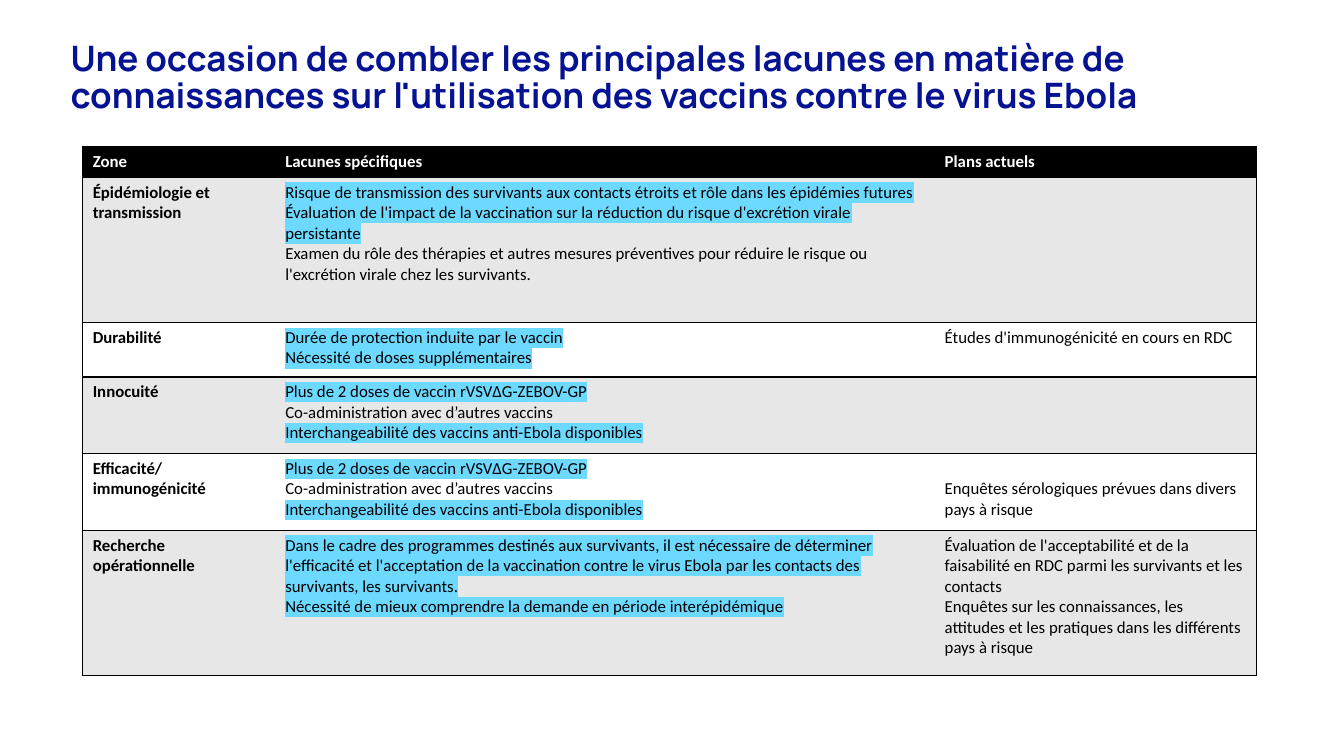
from lxml import etree
from pptx import Presentation
from pptx.dml.color import RGBColor
from pptx.enum.text import MSO_ANCHOR, MSO_AUTO_SIZE, PP_ALIGN
from pptx.oxml.ns import qn
from pptx.util import Inches, Pt

MIDDLE, LEFT, NO_FIT = MSO_ANCHOR.MIDDLE, PP_ALIGN.LEFT, MSO_AUTO_SIZE.NONE

NAVY, BLACK, WHITE, GREY, SKY = "051291", "000000", "FFFFFF", "E7E7E7", "6DD9FF"

TITLE = ("Une occasion de combler les principales lacunes en matière de connaissances "
         "sur l'utilisation des vaccins contre le virus Ebola")
HEADERS = ["Zone", "Lacunes spécifiques", "Plans actuels"]
DOSE_GAPS = [
    ("Plus de 2 doses de vaccin rVSVΔG-ZEBOV-GP", True),
    ("Co-administration avec d’autres vaccins", False),
    ("Interchangeabilité des vaccins anti-Ebola disponibles", True),
]
# Area, gaps as (text, highlighted), current plans
AREAS = [
    ("Épidémiologie et transmission", [
        ("Risque de transmission des survivants aux contacts étroits et rôle dans "
         "les épidémies futures", True),
        ("Évaluation de l'impact de la vaccination sur la réduction du risque "
         "d'excrétion virale persistante", True),
        ("Examen du rôle des thérapies et autres mesures préventives pour réduire "
         "le risque ou l'excrétion virale chez les survivants.", False),
    ], []),
    ("Durabilité", [
        ("Durée de protection induite par le vaccin", True),
        ("Nécessité de doses supplémentaires", True),
    ], ["Études d'immunogénicité en cours en RDC"]),
    ("Innocuité", DOSE_GAPS, []),
    ("Efficacité/immunogénicité", DOSE_GAPS,
     ["Enquêtes sérologiques prévues dans divers pays à risque"]),
    ("Recherche opérationnelle", [
        ("Dans le cadre des programmes destinés aux survivants, il est nécessaire de "
         "déterminer l'efficacité et l'acceptation de la vaccination contre le virus "
         "Ebola par les contacts des survivants, les survivants.", True),
        ("Nécessité de mieux comprendre la demande en période interépidémique", True),
    ], [
        "Évaluation de l'acceptabilité et de la faisabilité en RDC parmi les "
        "survivants et les contacts",
        "Enquêtes sur les connaissances, les attitudes et les pratiques dans les "
        "différents pays à risque",
    ]),
]
COLUMN_WIDTHS = [1.91, 6.54, 3.19]
ROW_HEIGHTS = [0.31, 1.44, 0.54, 0.76, 0.76, 1.44]
LOWERED_PLAN = (4, 2)  # this cell's text starts one line down


def rgb(color):
    return RGBColor.from_string(color)


def write(paragraph, text, size=12, font="Calibri", color=BLACK, bold=False, highlight=None):
    run = paragraph.add_run()
    run.text = text
    run.font.size, run.font.name, run.font.bold = Pt(size), font, bold
    run.font.color.rgb = rgb(color)
    if highlight:
        marker = etree.Element(qn("a:highlight"))
        etree.SubElement(marker, qn("a:srgbClr"), val=highlight)
        run.font._element.find(qn("a:solidFill")).addnext(marker)


def set_borders(cell, sides):
    """Draw a black line on the given sides and none on the others."""
    properties = cell._tc.get_or_add_tcPr()
    for position, side in enumerate("LRTB"):
        line = etree.Element(qn(f"a:ln{side}"), w=str(Pt(1)))
        if side in sides:
            fill = etree.SubElement(line, qn("a:solidFill"))
            etree.SubElement(fill, qn("a:srgbClr"), val=BLACK)
        else:
            etree.SubElement(line, qn("a:noFill"))
        properties.insert(position, line)


def fill_cell(cell, entries, background, **text_format):
    cell.fill.solid()
    cell.fill.fore_color.rgb = rgb(background)
    frame = cell.text_frame
    for index, (text, highlighted) in enumerate(entries):
        paragraph = frame.add_paragraph() if index else frame.paragraphs[0]
        write(paragraph, text, highlight=SKY if highlighted else None, **text_format)


def add_title(slide):
    title = slide.shapes.title
    title.left, title.top = Inches(0.6), Inches(0.4)
    title.width, title.height = Inches(12.07), Inches(0.76)
    frame = title.text_frame
    frame.word_wrap, frame.auto_size, frame.vertical_anchor = True, NO_FIT, MIDDLE
    paragraph = frame.paragraphs[0]
    paragraph.alignment, paragraph.line_spacing = LEFT, 0.9
    write(paragraph, TITLE, size=25, font="Manrope", color=NAVY, bold=True)


def add_gap_table(slide):
    table = slide.shapes.add_table(
        len(ROW_HEIGHTS), len(COLUMN_WIDTHS), Inches(0.82), Inches(1.45),
        Inches(sum(COLUMN_WIDTHS)), Inches(sum(ROW_HEIGHTS))).table
    table.first_row = table.horz_banding = False
    for column, width in zip(table.columns, COLUMN_WIDTHS):
        column.width = Inches(width)
    for row, height in zip(table.rows, ROW_HEIGHTS):
        row.height = Inches(height)

    for column, header in enumerate(HEADERS):
        fill_cell(table.cell(0, column), [(header, False)], BLACK, color=WHITE, bold=True)
    for row, (area, gaps, plans) in enumerate(AREAS, start=1):
        background = GREY if row % 2 else WHITE
        fill_cell(table.cell(row, 0), [(area, False)], background, bold=True)
        fill_cell(table.cell(row, 1), gaps, background)
        fill_cell(table.cell(row, 2), [(plan, False) for plan in plans], background)
    table.cell(*LOWERED_PLAN).margin_top = Inches(0.25)

    for row in table.rows:
        for cell, outer_side in zip(row.cells, ["L", "", "R"]):
            set_borders(cell, "TB" + outer_side)


def main():
    presentation = Presentation()
    presentation.slide_width, presentation.slide_height = Inches(13.33), Inches(7.5)
    slide = presentation.slides.add_slide(presentation.slide_layouts[5])
    add_title(slide)
    add_gap_table(slide)
    presentation.save("out.pptx")


if __name__ == "__main__":
    main()
